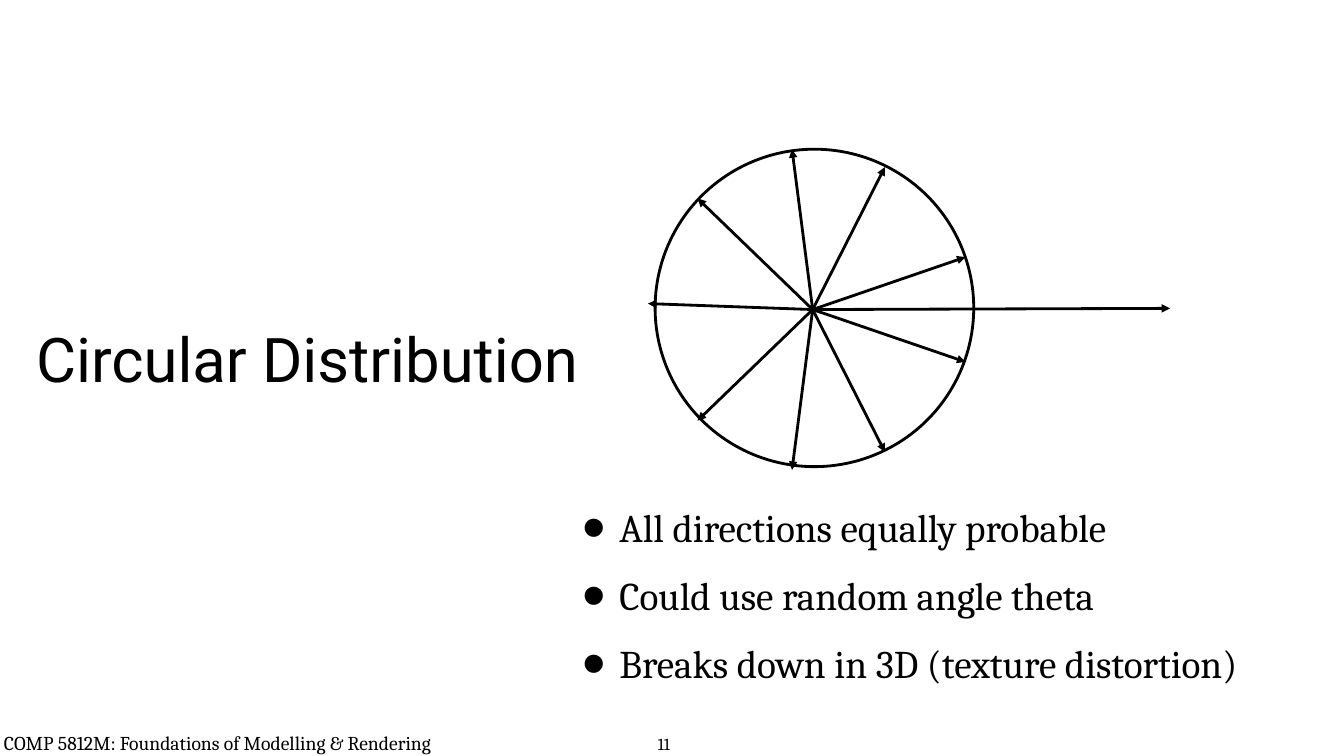
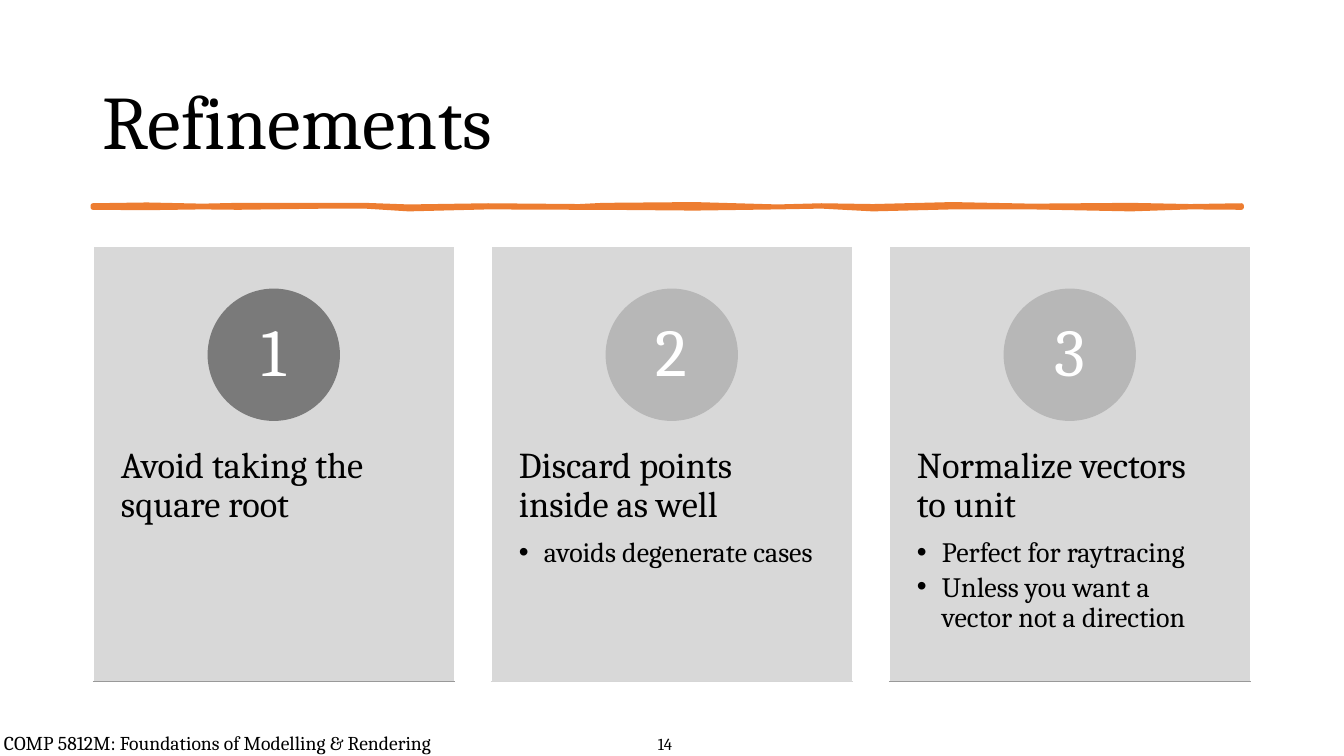
from lxml import etree
from pptx import Presentation
from pptx import util as u
from pptx.dml.color import RGBColor
from pptx.enum import shapes, text
from pptx.oxml import ns

# Shared style
BLACK = RGBColor(0x00, 0x00, 0x00)
WHITE = RGBColor(0xFF, 0xFF, 0xFF)
ORANGE = RGBColor(0xED, 0x7D, 0x31)
CARD_GREY = RGBColor(0xD4, 0xD4, 0xD4)
DARK_GREY = RGBColor(0x7A, 0x7A, 0x7A)
MID_GREY = RGBColor(0xB7, 0xB7, 0xB7)
EDGE_GREY = RGBColor(0x99, 0x99, 0x99)
PALE_GREY = RGBColor(0xD6, 0xD6, 0xD6)
SERIF, SANS = "Cambria", "Roboto"
FOOTER = "COMP 5812M: Foundations of Modelling & Rendering"
INSET_X, INSET_Y = 0.25, 0.13
MIDDLE = text.MSO_ANCHOR.MIDDLE
TOP = text.MSO_ANCHOR.TOP

# Direction diagram, in cm
CIRCLE = (16.51, 3.76, 8.03, 8.0)
CENTRE = (20.48, 7.8)
MIRRORED_TIPS = [(17.58, 2.8), (19.96, 4.04), (22.3, 3.59), (24.33, 1.32)]
AXIS_TIPS = [(16.33, 7.65), (29.49, 7.77)]

# Brush stroke, in cm: x, upper edge, lower edge
STROKE = [
    (2.34, 5.18, 5.23), (3.7, 5.16, 5.24), (5.1, 5.19, 5.22), (6, 5.17, 5.23),
    (8.3, 5.17, 5.2), (9.2, 5.17, 5.2), (10.3, 5.21, 5.27), (12.3, 5.18, 5.22),
    (14.6, 5.2, 5.23), (15.2, 5.17, 5.23), (17.5, 5.15, 5.25),
    (19.6, 5.21, 5.22), (20.7, 5.18, 5.2), (22, 5.2, 5.27), (24, 5.15, 5.22),
    (26, 5.19, 5.22), (28.5, 5.17, 5.27), (30, 5.2, 5.22), (31.29, 5.18, 5.23),
]

# Refinement cards: heading, points, disc colour, edge colour
CARDS = [
    ("Avoid taking the square root", [], DARK_GREY, EDGE_GREY),
    ("Discard points inside as well", ["avoids degenerate cases"],
     MID_GREY, PALE_GREY),
    ("Normalize vectors to unit",
     ["Perfect for raytracing", "Unless you want a vector not a direction"],
     MID_GREY, EDGE_GREY),
]
CARD_LEFT, CARD_TOP, CARD_STEP = 2.34, 6.2, 10.03
CARD_WIDTH, CARD_HEIGHT, DISC = 9.12, 10.97, 3.3


def cm(*values):
    return [u.Cm(value) for value in values]


# Text
def set_frame(shape, anchor=TOP, inset_x=INSET_X, inset_y=INSET_Y):
    frame = shape.text_frame
    frame.word_wrap = True
    frame.vertical_anchor = anchor
    frame.margin_left = frame.margin_right = u.Cm(inset_x)
    frame.margin_top = frame.margin_bottom = u.Cm(inset_y)
    return frame


def add_text_box(page, at, **frame_style):
    return set_frame(page.shapes.add_textbox(*cm(*at)), **frame_style)


def add_para(frame, words, size, font=SERIF, colour=BLACK, spacing=0.9,
             before=0, after=0):
    para = frame.paragraphs[0]
    if para.runs:
        para = frame.add_paragraph()
    para.line_spacing = spacing
    para.space_before, para.space_after = u.Pt(before), u.Pt(after)
    span = para.add_run()
    span.text = words
    span.font.size = u.Pt(size)
    span.font.name = font
    span.font.color.rgb = colour
    return para


def set_bullet(para, indent, hanging, percent=100):
    props = para._p.get_or_add_pPr()
    props.set("marL", str(u.Cm(indent)))
    props.set("indent", str(-u.Cm(hanging)))
    for tag, name, value in (("a:buSzPct", "val", str(percent * 1000)),
                             ("a:buFont", "typeface", "Arial"),
                             ("a:buChar", "char", "•")):
        etree.SubElement(props, ns.qn(tag)).set(name, value)


def add_title(page, words, at, size, font):
    add_para(add_text_box(page, at, anchor=MIDDLE), words, size, font)


# Shapes and lines
def paint(shape, fill, line, weight):
    shape.shadow.inherit = False
    if fill is None:
        shape.fill.background()
    else:
        shape.fill.solid()
        shape.fill.fore_color.rgb = fill
    shape.line.color.rgb = line
    shape.line.width = u.Pt(weight)


def add_shape(page, kind, at, fill, line, weight=1):
    shape = page.shapes.add_shape(kind, *cm(*at))
    paint(shape, fill, line, weight)
    return shape


def add_line(page, start, end, colour, weight, arrow=False):
    line = page.shapes.add_connector(shapes.MSO_CONNECTOR.STRAIGHT,
                                     *cm(*start, *end))
    line.line.color.rgb = colour
    line.line.width = u.Pt(weight)
    if arrow:
        head = etree.SubElement(line.line._get_or_add_ln(), ns.qn("a:tailEnd"))
        head.set("type", "triangle")
    etree.SubElement(line._element.spPr, ns.qn("a:effectLst"))


def set_opacity(shape, percent):
    colour = shape._element.spPr.find(ns.qn("a:solidFill"))[0]
    etree.SubElement(colour, ns.qn("a:alpha")).set("val", str(percent * 1000))


def add_brush_stroke(page):
    upper = [cm(x, top) for x, top, _ in STROKE]
    lower = [cm(x, bottom) for x, _, bottom in reversed(STROKE)]
    builder = page.shapes.build_freeform(*upper[0])
    builder.add_line_segments(upper[1:] + lower, close=True)
    paint(builder.convert_to_shape(), ORANGE, ORANGE, 3.25)


# Page parts
def add_page(deck, number):
    page = deck.slides.add_slide(deck.slide_layouts[6])
    footer = add_text_box(page, (0, 18.11, 15.98, 0.94), inset_x=0.1,
                          inset_y=0.15)
    add_para(footer, FOOTER, 14, spacing=u.Pt(21))
    counter = add_text_box(page, (16.48, 18.26, 0.9, 0.79), anchor=MIDDLE,
                           inset_x=0.1, inset_y=0.1)
    add_para(counter, str(number), 12, spacing=u.Pt(19))
    return page


def add_direction_diagram(page):
    add_shape(page, shapes.MSO_SHAPE.OVAL, CIRCLE, None, BLACK, 2)
    tips = [(x, CENTRE[1] + side * rise)
            for x, rise in MIRRORED_TIPS for side in (-1, 1)]
    for tip in tips + AXIS_TIPS:
        add_line(page, CENTRE, tip, BLACK, 2, arrow=True)


def add_card(page, index, heading, points, disc_colour, edge_colour):
    left = CARD_LEFT + index * CARD_STEP
    bottom = CARD_TOP + CARD_HEIGHT
    card = add_shape(page, shapes.MSO_SHAPE.RECTANGLE,
                     (left, CARD_TOP, CARD_WIDTH, CARD_HEIGHT),
                     CARD_GREY, WHITE)
    set_opacity(card, 90)
    frame = add_text_box(page, (left, 10.36, CARD_WIDTH, 6.58),
                         inset_x=0.71, inset_y=0.91)
    add_para(frame, heading, 26, after=9)
    for point in points:
        set_bullet(add_para(frame, point, 20, after=3), 0.63, 0.63)
    disc = add_shape(page, shapes.MSO_SHAPE.OVAL,
                     (left + (CARD_WIDTH - DISC) / 2, 7.29, DISC, DISC),
                     disc_colour, disc_colour)
    number = add_para(set_frame(disc, MIDDLE, inset_y=0.03), str(index + 1),
                      48, colour=WHITE)
    number.alignment = text.PP_ALIGN.CENTER
    add_line(page, (left, bottom), (left + CARD_WIDTH, bottom), edge_colour, 1)


# Slides
def build_distribution(deck):
    page = add_page(deck, 11)
    add_title(page, "Circular Distribution", (0.66, 7.65, 15.5, 2.97), 44, SANS)
    body = add_text_box(page, (13.94, 11.84, 19.8, 6.45), anchor=MIDDLE)
    for point in ("All directions equally probable",
                  "Could use random angle theta",
                  "Breaks down in 3D (texture distortion)"):
        set_bullet(add_para(body, point, 28, before=18.3), 1.42, 0.94, 171)
    add_direction_diagram(page)


def build_refinements(deck):
    page = add_page(deck, 14)
    add_title(page, "Refinements", (2.34, 1.3, 29.21, 3.68), 54, SERIF)
    add_brush_stroke(page)
    for index, card in enumerate(CARDS):
        add_card(page, index, *card)


def main():
    deck = Presentation()
    deck.slide_width, deck.slide_height = cm(33.87, 19.05)
    build_distribution(deck)
    build_refinements(deck)
    deck.save("out.pptx")


if __name__ == "__main__":
    main()
